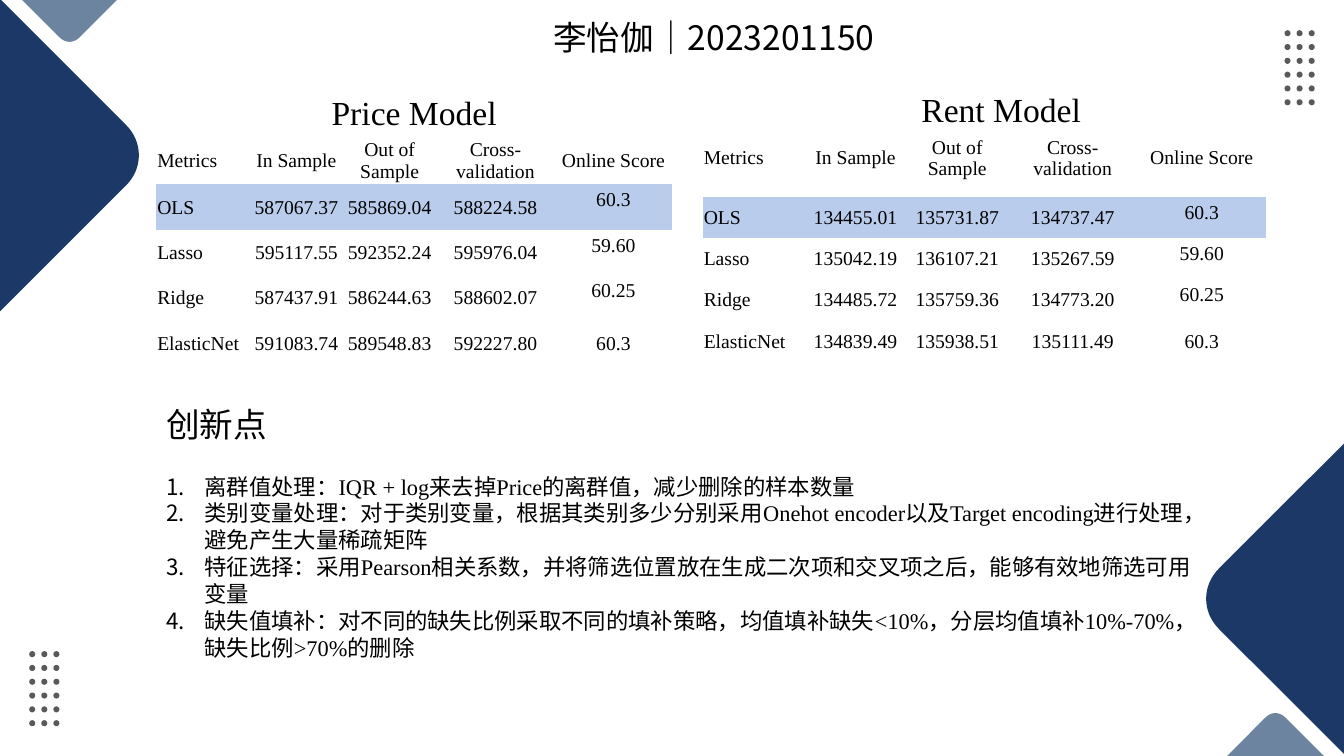
from dataclasses import dataclass
from itertools import product

from lxml import etree
from pptx import Presentation
from pptx import util as u
from pptx.dml.color import RGBColor
from pptx.enum import shapes, text
from pptx.oxml import ns

NAVY = RGBColor(0x1C, 0x38, 0x67)
SLATE = RGBColor(0x6D, 0x84, 0xA1)
GREY = RGBColor(0x59, 0x59, 0x59)
PALE = RGBColor(0xB9, 0xCC, 0xEC)
BLACK = RGBColor(0, 0, 0)
WIDE, HIGH = 13.33, 7.5
SERIF, SANS = "Times New Roman", "Noto Sans CJK SC"
PLAIN = "{2D5ABB26-0587-4C30-8999-92F81FD0307C}"
STEPS = 16
HEADS = ["Metrics", "In Sample", "Out of Sample", "Cross-validation", "Online Score"]


@dataclass
class Wedge:
    x: float
    y: float
    dx: int
    dy: int
    depth: float
    side: float
    bend: float
    color: RGBColor


@dataclass
class Label:
    words: str
    x: float
    y: float
    width: float
    face: str


@dataclass
class Model:
    x: float
    y: float
    cols: list[float]
    head: float
    row: float
    rows: list[list[str]]


WEDGES = [
    Wedge(0.69, 0, 0, 1, 0.37, 0.1, 0.06, SLATE),
    Wedge(0, 1.54, 1, 0, 1.25, 0.3, 0.17, NAVY),
    Wedge(12.65, HIGH, 0, -1, 0.38, 0.1, 0.06, SLATE),
    Wedge(WIDE, 5.94, -1, 0, 1.24, 0.3, 0.17, NAVY),
]
LABELS = [
    Label("李怡伽｜2023201150", 5.39, 0.12, 3.76, SANS),
    Label("Price Model", 3.19, 0.86, 2.68, SERIF),
    Label("Rent Model", 9.04, 0.83, 2.37, SERIF),
    Label("创新点", 1.55, 3.96, 2.68, SANS),
]
MODELS = [
    Model(1.55, 1.35, [0.93, 0.92, 0.93, 1.17, 1.17], 0.48, 0.45, [
        ["OLS", "587067.37", "585869.04", "588224.58", "60.3"],
        ["Lasso", "595117.55", "592352.24", "595976.04", "59.60"],
        ["Ridge", "587437.91", "586244.63", "588602.07", "60.25"],
        ["ElasticNet", "591083.74", "589548.83", "592227.80", "60.3"],
    ]),
    Model(6.97, 1.18, [1.01, 1.01, 1.01, 1.28, 1.28], 0.77, 0.41, [
        ["OLS", "134455.01", "135731.87", "134737.47", "60.3"],
        ["Lasso", "135042.19", "136107.21", "135267.59", "59.60"],
        ["Ridge", "134485.72", "135759.36", "134773.20", "60.25"],
        ["ElasticNet", "134839.49", "135938.51", "135111.49", "60.3"],
    ]),
]
POINTS = [
    "离群值处理：IQR + log来去掉Price的离群值，减少删除的样本数量",
    "类别变量处理：对于类别变量，根据其类别多少分别采用Onehot encoder以及Target encoding进行处理，避免产生大量稀疏矩阵",
    "特征选择：采用Pearson相关系数，并将筛选位置放在生成二次项和交叉项之后，能够有效地筛选可用变量",
    "缺失值填补：对不同的缺失比例采取不同的填补策略，均值填补缺失<10%，分层均值填补10%-70%，缺失比例>70%的删除",
]


def style(para, size: float, face: str) -> None:
    for run in para.runs:
        run.font.size = u.Pt(size)
        run.font.name = face
        run.font.color.rgb = BLACK
        east = etree.SubElement(run.font._element, ns.qn("a:ea"))
        east.set("typeface", SANS)


def paint(shape, color: RGBColor) -> None:
    shape.shadow.inherit = False
    shape.fill.solid()
    shape.fill.fore_color.rgb = color
    shape.line.fill.background()


def add_dots(slide, left: float, top: float) -> None:
    group = slide.shapes.add_group_shape()
    for row, col in product(range(6), range(3)):
        dot = group.shapes.add_shape(
            shapes.MSO_SHAPE.OVAL, u.Inches(left + col * 0.12),
            u.Inches(top + row * 0.137), u.Inches(0.06), u.Inches(0.06))
        paint(dot, GREY)


def add_wedge(slide, wedge: Wedge) -> None:
    def place(depth: float, side: float) -> tuple[int, int]:
        return (u.Inches(wedge.x + wedge.dx * depth + wedge.dy * side),
                u.Inches(wedge.y + wedge.dy * depth + wedge.dx * side))

    base = wedge.depth + wedge.side
    outline = [place(0, base)]
    for step in range(STEPS + 1):
        t = step / STEPS
        swell = 3 * t * (1 - t)
        depth = wedge.depth + wedge.bend * swell
        ends = (1 - t) ** 3 - t ** 3
        side = wedge.side * ends + (wedge.side - wedge.bend) * swell * (1 - 2 * t)
        outline.append(place(depth, side))
    pen = slide.shapes.build_freeform(*place(0, -base))
    pen.add_line_segments(outline, close=True)
    paint(pen.convert_to_shape(), wedge.color)


def add_box(slide, x: float, y: float, width: float, height: float):
    box = slide.shapes.add_textbox(*map(u.Inches, (x, y, width, height)))
    box.text_frame.word_wrap = True
    return box.text_frame


def add_label(slide, label: Label) -> None:
    frame = add_box(slide, label.x, label.y, label.width, 0.5)
    frame.text = label.words
    style(frame.paragraphs[0], 24, label.face)


def add_model(slide, model: Model) -> None:
    lines = [HEADS, *model.rows]
    highs = [model.head] + [model.row] * len(model.rows)
    frame = slide.shapes.add_table(
        len(lines), len(HEADS), u.Inches(model.x), u.Inches(model.y),
        u.Inches(sum(model.cols)), u.Inches(sum(highs)))
    frame._element.find(".//" + ns.qn("a:tableStyleId")).text = PLAIN
    table = frame.table
    table.first_row = table.horz_banding = False
    for col, width in zip(table.columns, model.cols):
        col.width = u.Inches(width)
    for row, height in zip(table.rows, highs):
        row.height = u.Inches(height)
    last = len(lines) - 1
    for r, line in enumerate(lines):
        for c, words in enumerate(line):
            cell = table.cell(r, c)
            cell.text = words
            if c < len(HEADS) - 1 or r in (0, last):
                cell.vertical_anchor = text.MSO_ANCHOR.MIDDLE
                cell.margin_left = cell.margin_right = cell.margin_top = u.Inches(0.01)
                cell.margin_bottom = 0
            if r == 1:
                cell.fill.solid()
                cell.fill.fore_color.rgb = PALE
            else:
                cell.fill.background()
            para = cell.text_frame.paragraphs[0]
            para.alignment = text.PP_ALIGN.CENTER if c else text.PP_ALIGN.LEFT
            style(para, 14, SERIF)


def add_points(slide) -> None:
    frame = add_box(slide, 1.55, 4.64, 10.47, 2.02)
    frame.text = "\n".join(POINTS)
    for para in frame.paragraphs:
        props = para._p.get_or_add_pPr()
        props.set("marL", str(u.Inches(0.38)))
        props.set("indent", str(-u.Inches(0.38)))
        etree.SubElement(props, ns.qn("a:buFont")).set("typeface", SANS)
        etree.SubElement(props, ns.qn("a:buAutoNum")).set("type", "arabicPeriod")
        style(para, 16, SERIF)


def main() -> None:
    deck = Presentation()
    deck.slide_width, deck.slide_height = u.Inches(WIDE), u.Inches(HIGH)
    slide = deck.slides.add_slide(deck.slide_layouts[6])
    add_dots(slide, 0.29, 6.46)
    add_dots(slide, 12.74, 0.3)
    for wedge in WEDGES:
        add_wedge(slide, wedge)
    for model in MODELS:
        add_model(slide, model)
    for label in LABELS:
        add_label(slide, label)
    add_points(slide)
    deck.save("out.pptx")


if __name__ == "__main__":
    main()
